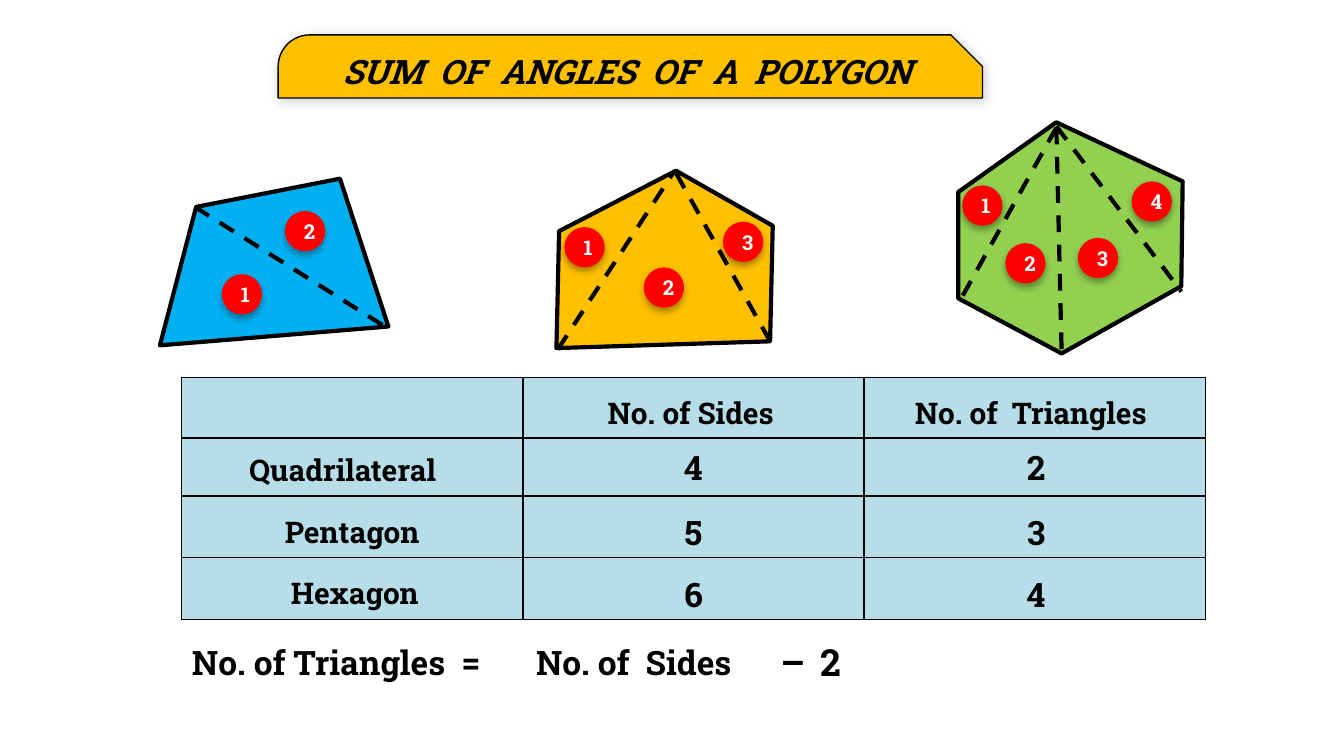
from lxml.etree import SubElement
from pptx import Presentation
from pptx.dml.color import RGBColor
from pptx.enum.dml import MSO_LINE
from pptx.enum.shapes import MSO_CONNECTOR, MSO_SHAPE
from pptx.enum.text import MSO_ANCHOR, MSO_AUTO_SIZE, PP_ALIGN
from pptx.oxml.ns import qn
from pptx.util import Inches, Pt

FONT = "Roboto Slab"
BLACK = RGBColor(0x00, 0x00, 0x00)
WHITE = RGBColor(0xFF, 0xFF, 0xFF)
RED = RGBColor(0xFF, 0x00, 0x00)
BLUE = RGBColor(0x00, 0xB0, 0xF0)
AMBER = RGBColor(0xFF, 0xC0, 0x00)
GREEN = RGBColor(0x92, 0xD0, 0x50)
PALE_BLUE = RGBColor(0xB7, 0xDE, 0xE8)

BADGE_SIZE = 0.3
COLUMN_WIDTH = 2.54
ROW_HEIGHTS = (0.45, 0.43, 0.46, 0.46)

POLYGONS = [
    {
        "fill": BLUE,
        "corners": [(1.46, 1.54), (1.19, 2.57), (2.89, 2.43), (2.53, 1.33)],
        "diagonals": [((1.45, 1.54), (2.88, 2.44))],
        "badges": [(1.65, 2.04), (2.12, 1.57)],
    },
    {
        "fill": AMBER,
        "corners": [(5.03, 1.27), (4.16, 1.72), (4.14, 2.59), (5.73, 2.54), (5.75, 1.68)],
        "diagonals": [((4.15, 2.6), (5.02, 1.27)), ((5.73, 2.54), (5.02, 1.27))],
        "badges": [(4.2, 1.69), (4.79, 1.99), (5.38, 1.65)],
    },
    {
        "fill": GREEN,
        "corners": [(7.86, 0.91), (7.13, 1.43), (7.13, 2.22), (7.9, 2.63), (8.79, 2.13), (8.8, 1.35)],
        "diagonals": [
            ((7.86, 0.95), (7.13, 2.26)),
            ((7.86, 0.94), (8.79, 2.17)),
            ((7.86, 0.95), (7.9, 2.66)),
        ],
        "badges": [(7.16, 1.38), (7.48, 1.81), (8.02, 1.77), (8.42, 1.35)],
    },
]

TABLE_LABELS = [
    ("No. of Sides", 4.06, 2.89, 2.16),
    ("No. of  Triangles", 6.29, 2.89, 2.76),
    ("Quadrilateral", 1.47, 3.31, 2.16),
    ("Pentagon", 1.54, 3.77, 2.16),
    ("Hexagon", 1.56, 4.23, 2.16),
]
TABLE_COUNTS = [(3.28, "4", "2"), (3.76, "5", "3"), (4.22, "6", "4")]


def write_text(shape, text, size, color=BLACK, align=PP_ALIGN.CENTER, italic=False):
    paragraph = shape.text_frame.paragraphs[0]
    paragraph.text = text
    paragraph.alignment = align
    font = paragraph.font
    font.name = FONT
    font.size = Pt(size)
    font.bold = True
    font.italic = italic
    font.color.rgb = color


def add_label(slide, text, left, top, width, height, size, align=PP_ALIGN.CENTER):
    box = slide.shapes.add_textbox(Inches(left), Inches(top), Inches(width), Inches(height))
    box.text_frame.word_wrap = True
    box.text_frame.auto_size = MSO_AUTO_SIZE.SHAPE_TO_FIT_TEXT
    write_text(box, text, size, align=align)


def set_shadow(shape, opacity, blur, distance, angle):
    shape.shadow.inherit = False
    effects = shape._element.spPr.find(qn("a:effectLst"))
    shadow = SubElement(
        effects, qn("a:outerShdw"), blurRad=str(Pt(blur)), dist=str(Pt(distance)),
        dir=str(angle * 60000), algn="ctr", rotWithShape="0",
    )
    color = SubElement(shadow, qn("a:srgbClr"), val=str(BLACK))
    SubElement(color, qn("a:alpha"), val=str(opacity * 1000))


def add_polygon(slide, corners, fill):
    points = [(Inches(x), Inches(y)) for x, y in corners]
    builder = slide.shapes.build_freeform(*points[0])
    builder.add_line_segments(points[1:], close=True)
    polygon = builder.convert_to_shape()
    polygon.shadow.inherit = False
    polygon.fill.solid()
    polygon.fill.fore_color.rgb = fill
    polygon.line.color.rgb = BLACK
    polygon.line.width = Pt(2.25)


def add_diagonal(slide, start, end):
    ends = [Inches(value) for value in (*start, *end)]
    diagonal = slide.shapes.add_connector(MSO_CONNECTOR.STRAIGHT, *ends)
    diagonal.line.color.rgb = BLACK
    diagonal.line.width = Pt(2.25)
    diagonal.line.dash_style = MSO_LINE.DASH
    SubElement(diagonal._element.spPr, qn("a:effectLst"))


def add_badge(slide, number, left, top):
    badge = slide.shapes.add_shape(
        MSO_SHAPE.OVAL, Inches(left), Inches(top), Inches(BADGE_SIZE), Inches(BADGE_SIZE)
    )
    badge.fill.solid()
    badge.fill.fore_color.rgb = RED
    badge.line.fill.background()
    set_shadow(badge, 32, 3.5, 2.2, 90)
    write_text(badge, str(number), 11, WHITE)


def add_title(slide, text):
    banner = slide.shapes.add_shape(
        MSO_SHAPE.SNIP_ROUND_RECTANGLE, Inches(2.07), Inches(0.26), Inches(5.24), Inches(0.47)
    )
    banner.adjustments[0] = 0.5
    banner.adjustments[1] = 0.5
    banner.fill.solid()
    banner.fill.fore_color.rgb = AMBER
    banner.line.color.rgb = BLACK
    banner.line.width = Pt(0.75)
    set_shadow(banner, 20, 6, 1, 45)
    banner.text_frame.vertical_anchor = MSO_ANCHOR.TOP
    write_text(banner, text, 18, italic=True)


def style_cell(cell):
    properties = cell._tc.get_or_add_tcPr()
    for side in ("a:lnL", "a:lnR", "a:lnT", "a:lnB"):
        border = SubElement(properties, qn(side), w=str(Pt(1)))
        SubElement(SubElement(border, qn("a:solidFill")), qn("a:srgbClr"), val=str(BLACK))
    cell.fill.solid()
    cell.fill.fore_color.rgb = PALE_BLUE


def add_grid(slide):
    table = slide.shapes.add_table(
        len(ROW_HEIGHTS), 3, Inches(1.35), Inches(2.81),
        Inches(3 * COLUMN_WIDTH), Inches(sum(ROW_HEIGHTS)),
    ).table
    for column in table.columns:
        column.width = Inches(COLUMN_WIDTH)
    for row, height in zip(table.rows, ROW_HEIGHTS):
        row.height = Inches(height)
    for cell in table.iter_cells():
        style_cell(cell)


def main():
    """Build the slide on the sum of angles of a polygon."""
    presentation = Presentation()
    presentation.slide_width = Inches(10)
    presentation.slide_height = presentation.slide_width * 9 // 16
    slide = presentation.slides.add_slide(presentation.slide_layouts[6])

    for polygon in POLYGONS:
        add_polygon(slide, polygon["corners"], polygon["fill"])
    for polygon in POLYGONS:
        for start, end in polygon["diagonals"]:
            add_diagonal(slide, start, end)

    add_grid(slide)
    for text, left, top, width in TABLE_LABELS:
        add_label(slide, text, left, top, width, 0.37, 16)
    for top, sides, triangles in TABLE_COUNTS:
        add_label(slide, sides, 4.08, top, 2.16, 0.4, 18)
        add_label(slide, triangles, 6.63, top, 2.16, 0.4, 18)

    add_label(slide, "No. of  Sides", 3.89, 4.73, 1.84, 0.4, 18, PP_ALIGN.LEFT)
    add_label(slide, "–", 5.64, 4.71, 0.52, 0.44, 20)
    add_label(slide, "2", 5.92, 4.71, 0.52, 0.44, 20)
    add_title(slide, "SUM  OF  ANGLES  OF  A  POLYGON")
    add_label(slide, "No. of Triangles  =", 1.33, 4.73, 2.59, 0.4, 18, PP_ALIGN.LEFT)

    for polygon in POLYGONS:
        for number, (left, top) in enumerate(polygon["badges"], start=1):
            add_badge(slide, number, left, top)

    presentation.save("out.pptx")


if __name__ == "__main__":
    main()
